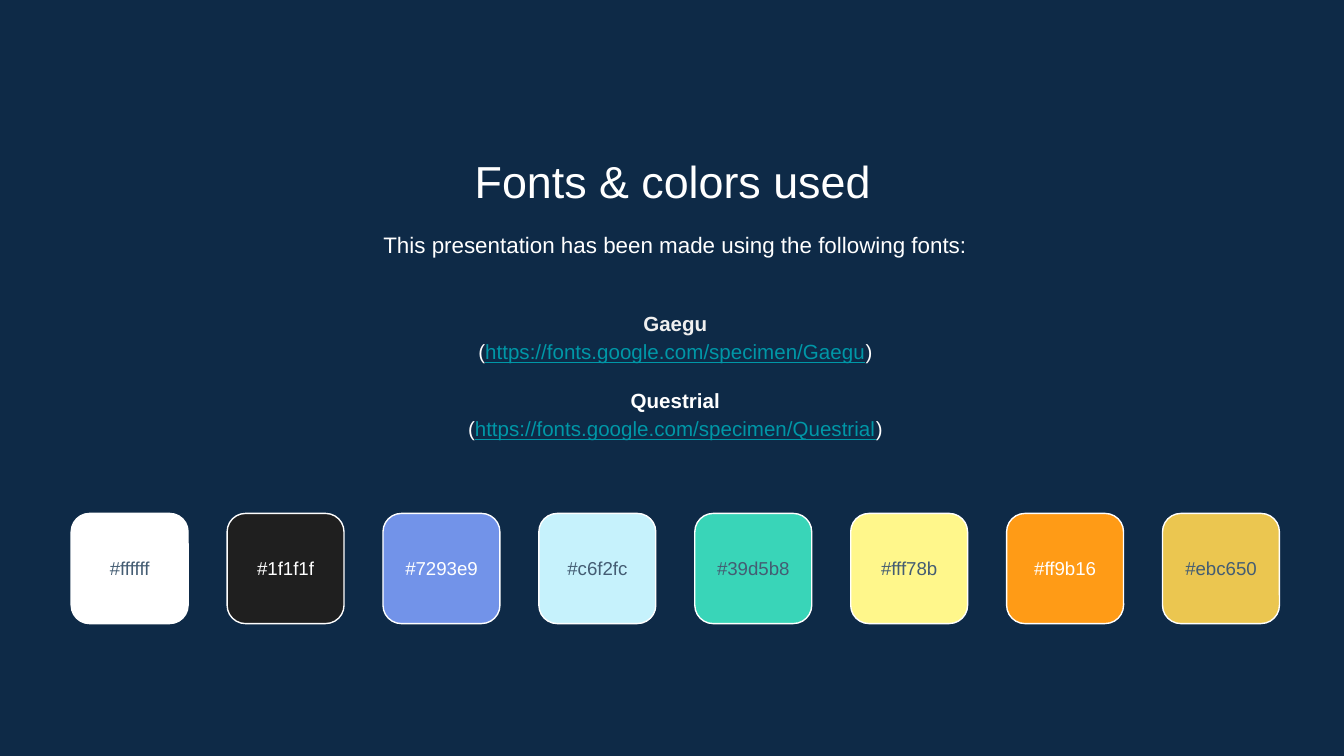
from pptx import Presentation
from pptx.dml.color import RGBColor
from pptx.enum.shapes import MSO_SHAPE
from pptx.enum.text import MSO_ANCHOR, MSO_AUTO_SIZE, PP_ALIGN
from pptx.util import Inches, Pt

ROUND = MSO_SHAPE.ROUNDED_RECTANGLE
TOP, MIDDLE = MSO_ANCHOR.TOP, MSO_ANCHOR.MIDDLE
FIXED = MSO_AUTO_SIZE.NONE
CENTER = PP_ALIGN.CENTER

COLORS = {
    "navy": "0E2A47",
    "white": "FFFFFF",
    "pale": "EFEFEF",
    "slate": "445D73",
    "link": "0097A7",
}
FONTS = [("Gaegu", "pale"), ("Questrial", "white")]
SWATCHES = [
    ("ffffff", "slate"),
    ("1f1f1f", "white"),
    ("7293e9", "white"),
    ("c6f2fc", "slate"),
    ("39d5b8", "slate"),
    ("fff78b", "slate"),
    ("ff9b16", "white"),
    ("ebc650", "slate"),
]
LEFT, PITCH = 0.53, 1.16


def rgb(name):
    return RGBColor.from_string(COLORS[name])


class Deck:
    font = "Arial"

    def __init__(self):
        self.prs = Presentation()
        self.prs.slide_width = Inches(10)
        self.prs.slide_height = Inches(10 * 9 / 16)
        self.slide = self.prs.slides.add_slide(self.prs.slide_layouts[5])
        fill = self.slide.background.fill
        fill.solid()
        fill.fore_color.rgb = rgb("navy")

    def frame(self, shape, anchor):
        frame = shape.text_frame
        frame.word_wrap = True
        frame.auto_size = FIXED
        frame.vertical_anchor = anchor
        frame.margin_left = frame.margin_right = Inches(0.1)
        frame.margin_top = frame.margin_bottom = Inches(0.1)
        return frame

    def style(self, para, size, color="white", bold=False, line=1.15):
        para.alignment = CENTER
        para.line_spacing = line
        font = para.font
        font.name, font.size, font.bold = self.font, Pt(size), bold
        font.color.rgb = rgb(color)

    def title(self, text, x, y, w, h):
        shape = self.slide.shapes.title
        shape.left, shape.top = Inches(x), Inches(y)
        shape.width, shape.height = Inches(w), Inches(h)
        para = self.frame(shape, TOP).paragraphs[0]
        para.text = text
        self.style(para, 24, line=1.0)

    def box(self, x, y, w, h, anchor):
        shape = self.slide.shapes.add_textbox(
            Inches(x), Inches(y), Inches(w), Inches(h))
        return self.frame(shape, anchor)

    def text(self, text, x, y, w, h):
        para = self.box(x, y, w, h, TOP).paragraphs[0]
        para.text = text
        self.style(para, 12)

    def fonts(self, items, x, y, w, h):
        frame = self.box(x, y, w, h, MIDDLE)
        for i, (name, color) in enumerate(items):
            head = frame.add_paragraph() if i else frame.paragraphs[0]
            head.text = name
            self.style(head, 11, color, bold=True)
            if i:
                head.space_before = Pt(11)
            para = frame.add_paragraph()
            self.style(para, 11)
            para.add_run().text = "("
            link = para.add_run()
            link.text = f"https://fonts.google.com/specimen/{name}"
            link.font.underline = True
            link.font.color.rgb = rgb("link")
            para.add_run().text = ")"

    def swatch(self, code, ink, x, y, w, h):
        shape = self.slide.shapes.add_shape(
            ROUND, Inches(x), Inches(y), Inches(w), Inches(h))
        shape.shadow.inherit = False
        shape.fill.solid()
        shape.fill.fore_color.rgb = RGBColor.from_string(code.upper())
        shape.line.color.rgb = rgb("white")
        shape.line.width = Pt(0.75)
        tall = 0.48
        label = self.box(x, y + (h - tall) / 2, w, tall, MIDDLE)
        para = label.paragraphs[0]
        para.text = f"#{code}"
        self.style(para, 10, ink, line=1.0)


def main():
    deck = Deck()
    for i, (code, ink) in enumerate(SWATCHES):
        deck.swatch(code, ink, LEFT + i * PITCH, 3.82, 0.87, 0.82)
    deck.title("Fonts & colors used", 1.15, 1.04, 7.71, 0.53)
    deck.text("This presentation has been made using the following fonts:",
              1.17, 1.59, 7.71, 0.48)
    deck.fonts(FONTS, 1.17, 2.1, 7.71, 1.37)
    deck.prs.save("out.pptx")


if __name__ == "__main__":
    main()
